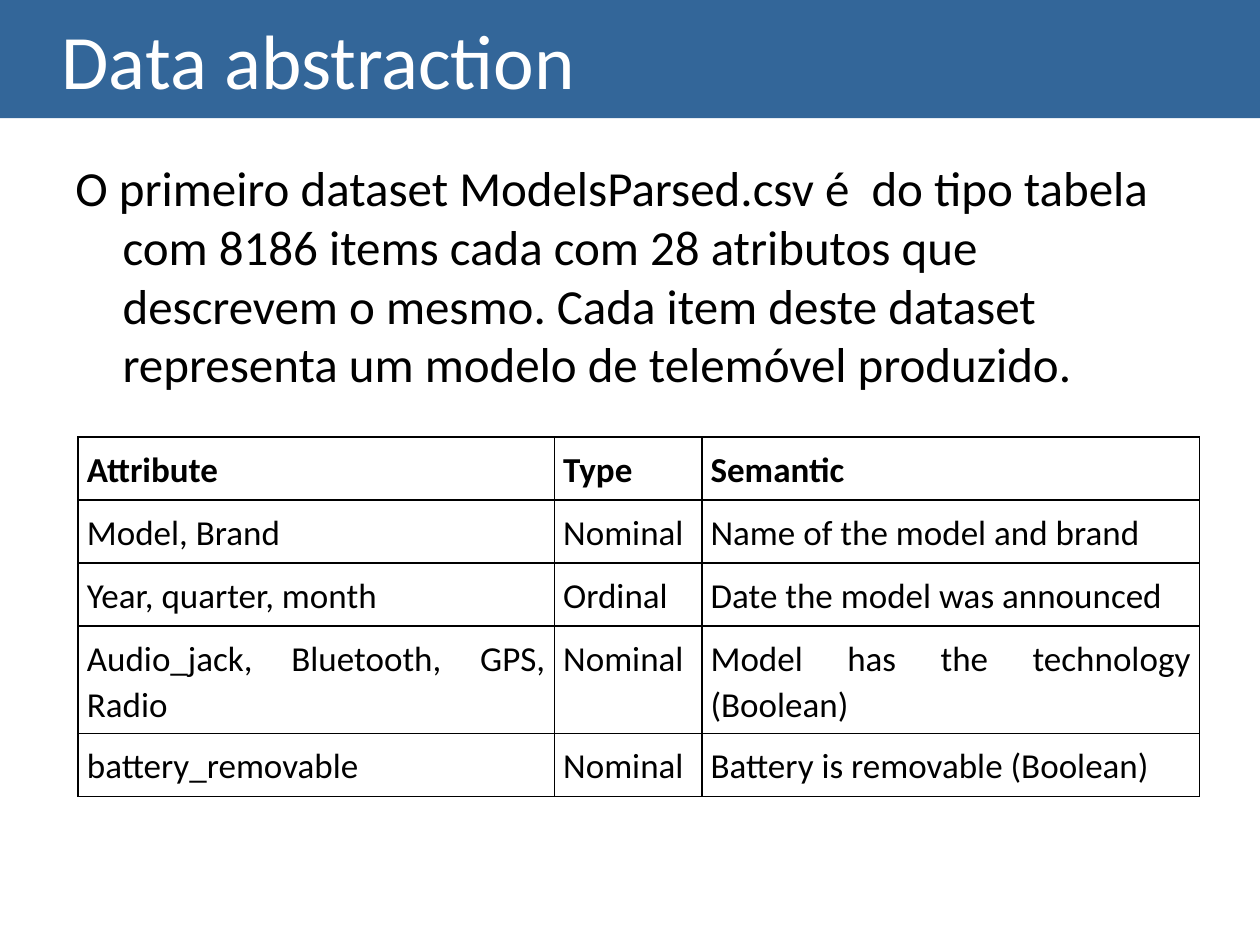
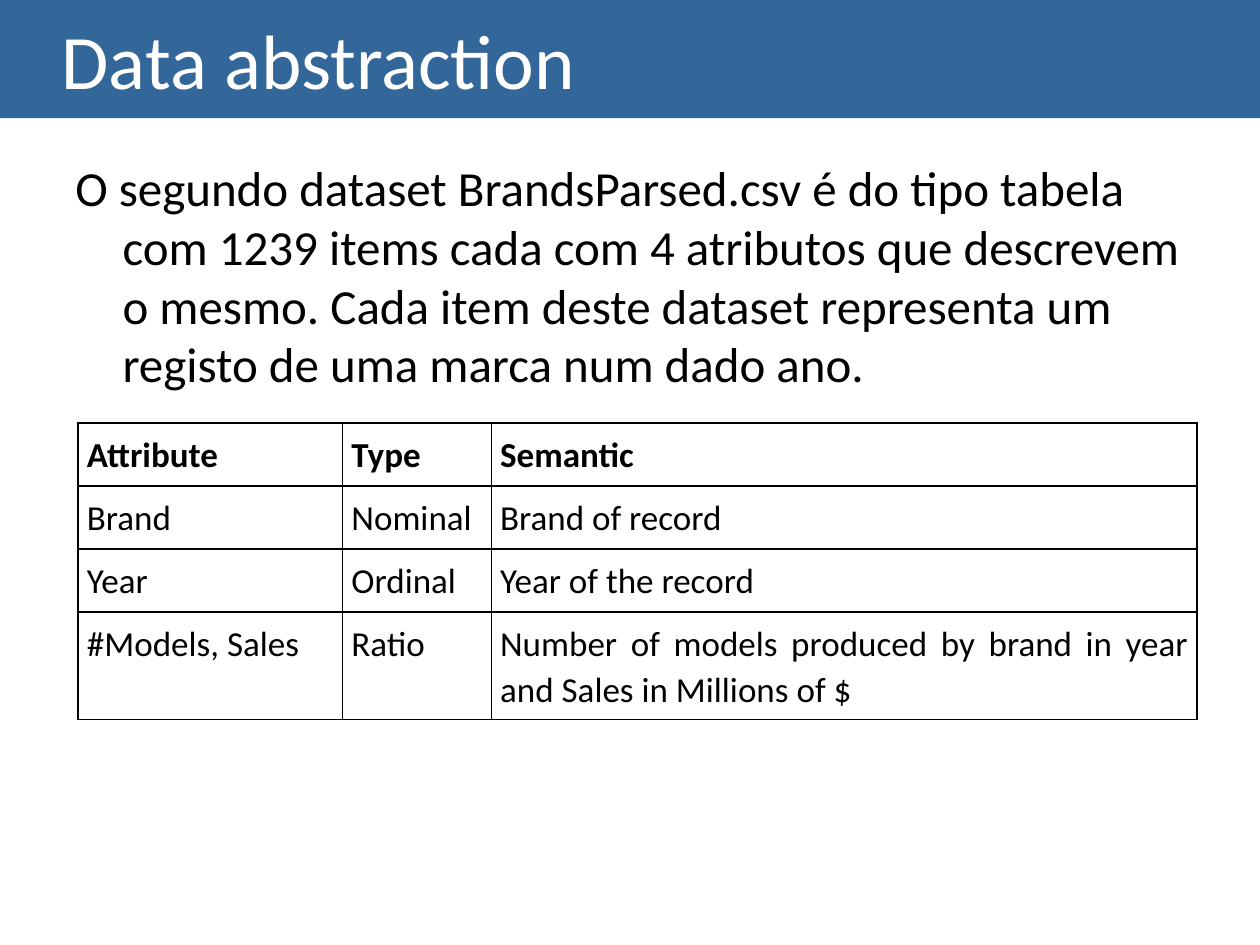
from lxml import etree
from pptx import Presentation
from pptx.dml.color import RGBColor
from pptx.enum.text import MSO_ANCHOR, MSO_AUTO_SIZE, PP_ALIGN
from pptx.oxml.ns import qn
from pptx.util import Pt

LEFT, JUSTIFY = PP_ALIGN.LEFT, PP_ALIGN.JUSTIFY
MIDDLE = MSO_ANCHOR.MIDDLE
NO_AUTOFIT = MSO_AUTO_SIZE.NONE

BAND_BLUE = RGBColor(0x33, 0x66, 0x99)
WHITE = RGBColor(0xFF, 0xFF, 0xFF)
BLACK = RGBColor(0x00, 0x00, 0x00)
FONT = "Calibri"

TITLE = "Data abstraction"
HEADER = ("Attribute", "Type", "Semantic")
TABLE_LEFT = 44.64
CELL_MARGIN = Pt(5.04)
ROW_HEIGHT = 36

# Content: introduction, table top, column widths, table rows
datasets = [
    (
        "O primeiro dataset ModelsParsed.csv é  do tipo tabela com 8186 items "
        "cada com 28 atributos que descrevem o mesmo. Cada item deste dataset "
        "representa um modelo de telemóvel produzido.",
        249.84,
        (272.16, 84.24, 284.4),
        [
            ("Model, Brand", "Nominal", "Name of the model and brand"),
            ("Year, quarter, month", "Ordinal", "Date the model was announced"),
            ("Audio_jack, Bluetooth, GPS, Radio", "Nominal",
             "Model has the technology (Boolean)"),
            ("battery_removable", "Nominal", "Battery is removable (Boolean)"),
        ],
    ),
    (
        "O segundo dataset BrandsParsed.csv é do tipo tabela com 1239 items "
        "cada com 4 atributos que descrevem o mesmo. Cada item deste dataset "
        "representa um registo de uma marca num dado ano.",
        241.6,
        (151.2, 84.96, 403.2),
        [
            ("Brand", "Nominal", "Brand of record"),
            ("Year", "Ordinal", "Year of the record"),
            ("#Models, Sales", "Ratio",
             "Number of models produced by brand in year and Sales in Millions of $"),
        ],
    ),
]


def style_paragraph(paragraph, size, color, align, margin=0, indent=0, bold=False):
    paragraph.alignment = align
    font = paragraph.font
    font.name, font.size, font.bold = FONT, Pt(size), bold
    font.color.rgb = color
    properties = paragraph._p.get_or_add_pPr()
    properties.set("marL", str(Pt(margin)))
    properties.set("indent", str(Pt(indent)))


def add_cell_borders(cell):
    properties = cell._tc.get_or_add_tcPr()
    for position, side in enumerate(("a:lnL", "a:lnR", "a:lnT", "a:lnB")):
        line = etree.Element(qn(side), w=str(Pt(1)))
        fill = etree.SubElement(line, qn("a:solidFill"))
        etree.SubElement(fill, qn("a:srgbClr"), val=str(BLACK))
        properties.insert(position, line)


prs = Presentation()
prs.slide_width, prs.slide_height = Pt(720), Pt(540)
title_only = prs.slide_layouts[5]

for introduction, table_top, column_widths, attributes in datasets:
    slide = prs.slides.add_slide(title_only)

    # Title band
    title = slide.shapes.title
    title.left, title.top, title.width, title.height = Pt(0), Pt(0), Pt(720), Pt(67.5)
    title.fill.solid()
    title.fill.fore_color.rgb = BAND_BLUE
    title.text_frame.text = TITLE
    title.text_frame.auto_size = NO_AUTOFIT
    title.text_frame.vertical_anchor = MIDDLE
    style_paragraph(title.text_frame.paragraphs[0], 44, WHITE, LEFT, margin=28)

    # Introduction with hanging indent
    body = slide.shapes.add_textbox(Pt(36), Pt(86.4), Pt(648), Pt(410.4)).text_frame
    body.word_wrap = True
    body.text = introduction
    body.paragraphs[0].space_before = Pt(18)
    style_paragraph(body.paragraphs[0], 28, BLACK, LEFT, margin=27, indent=-27)

    # Attribute table
    rows = [HEADER, *attributes]
    table = slide.shapes.add_table(
        len(rows), len(HEADER), Pt(TABLE_LEFT), Pt(table_top),
        Pt(sum(column_widths)), Pt(ROW_HEIGHT * len(rows))).table
    table.horz_banding = False
    for column, width in zip(table.columns, column_widths):
        column.width = Pt(width)
    for r, row in enumerate(rows):
        for c, text in enumerate(row):
            cell = table.cell(r, c)
            cell.text = text
            cell.fill.background()
            cell.margin_left = cell.margin_right = CELL_MARGIN
            cell.margin_top = cell.margin_bottom = CELL_MARGIN
            paragraph = cell.text_frame.paragraphs[0]
            paragraph.line_spacing = 1.07
            paragraph.space_after = Pt(8)
            style_paragraph(paragraph, 20, BLACK, JUSTIFY, bold=r == 0)
            add_cell_borders(cell)

prs.save("out.pptx")
